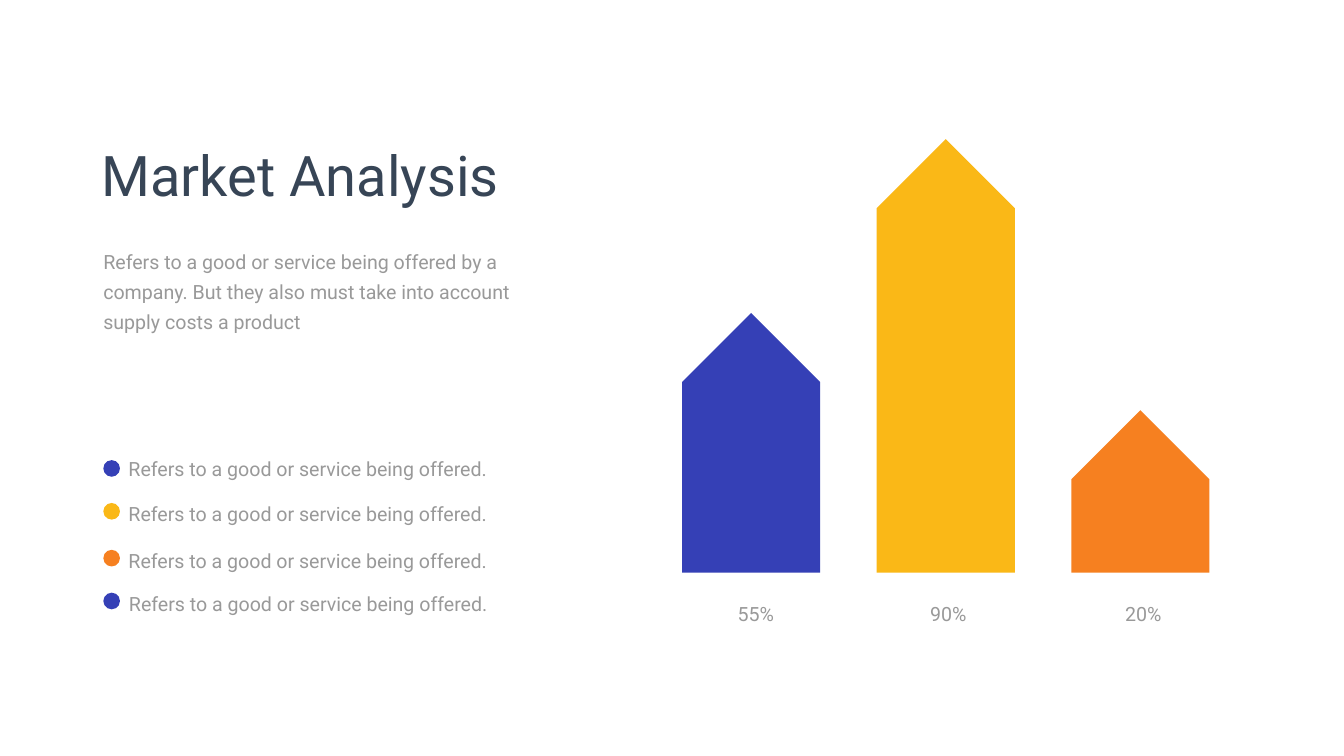
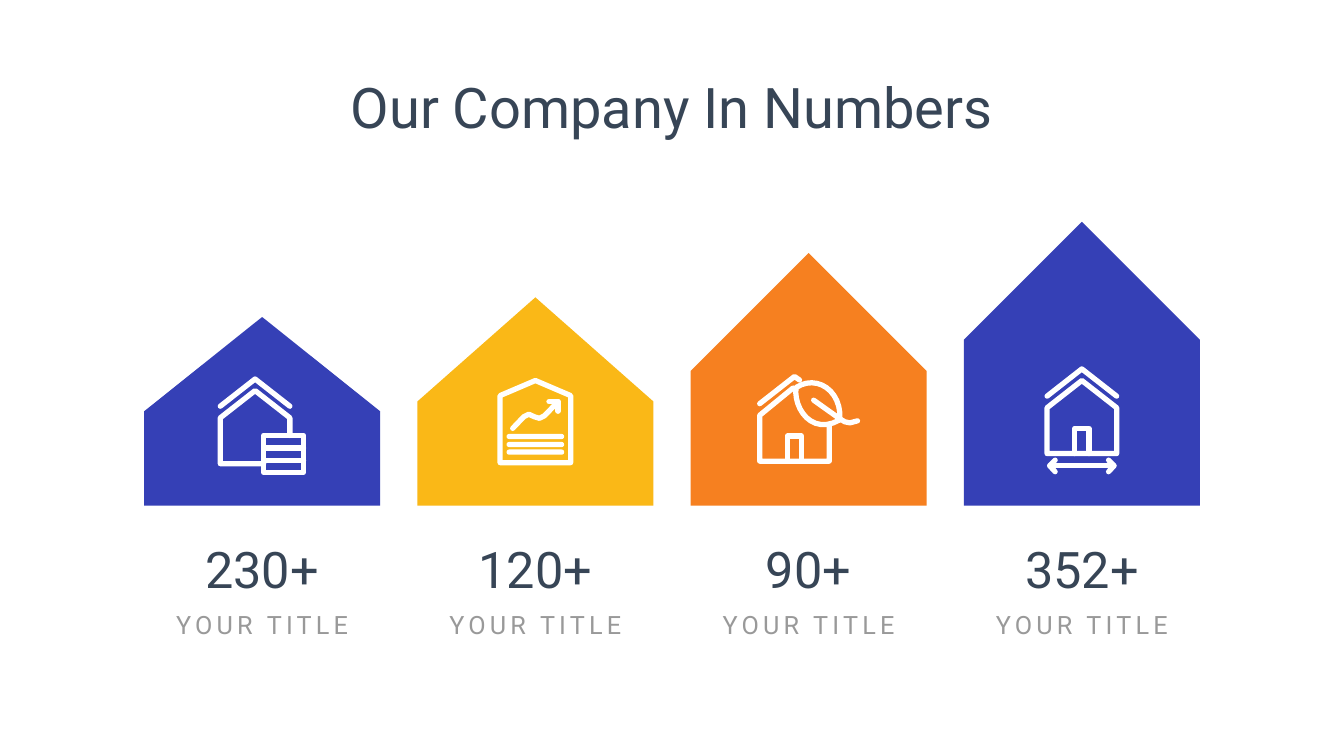
from pptx import Presentation
from pptx import util as u
from pptx.dml.color import RGBColor
from pptx.enum import shapes, text
from pptx.oxml import parse_xml
from pptx.oxml.ns import nsdecls, qn

# Shared style
WIDTH, HEIGHT = 26.66, 15
FONT = "Roboto"
BLUE = RGBColor(0x35, 0x40, 0xB6)
YELLOW = RGBColor(0xFA, 0xB8, 0x17)
ORANGE = RGBColor(0xF6, 0x80, 0x20)
NAVY = RGBColor(0x37, 0x45, 0x56)
GREY = RGBColor(0x99, 0x99, 0x99)
WHITE = RGBColor(0xFF, 0xFF, 0xFF)
TITLE, FIGURE, CAPTION, BODY = 80, 72, 36, 28
TIGHT, ROOMY = (0.1, 0.05), (0.24, 0.12)
STROKE = 7.5

# Market slide: bar height, colour, share, label centre
MARKET_TITLE = "Market Analysis"
MARKET_INTRO = ("Refers to a good or service being offered by a company. "
                "But they also must take into account supply costs a product")
MARKET_BARS = [
    (5.15, BLUE, "55%", 14.99),
    (8.6, YELLOW, "90%", 18.81),
    (3.22, ORANGE, "20%", 22.68),
]
LEGEND_TEXT = "Refers to a good or service being offered."
# Legend rows: dot colour, dot top, text left, text top
LEGEND = [
    (BLUE, 9.13, 2.45, 9.01),
    (YELLOW, 9.98, 2.45, 9.91),
    (ORANGE, 10.91, 2.45, 10.84),
    (BLUE, 11.76, 2.46, 11.69),
]


def curve(start, pull_a, pull_b, end, steps=12):
    """Points along a cubic curve."""
    points = []
    for step in range(steps + 1):
        t = step / steps
        weights = ((1 - t) ** 3, 3 * t * (1 - t) ** 2, 3 * t * t * (1 - t), t ** 3)
        points.append(tuple(sum(w * p[axis] for w, p in zip(weights, (start, pull_a, pull_b, end)))
                            for axis in (0, 1)))
    return points


# Icons are lists of parts, and a part is a list of strokes, in inches from the
# middle of the icon's top; a stroke that returns to its first point is closed
ROOF = [[(-0.69, 0.6), (0, 0.06), (0.69, 0.6)]]
DOOR = [(-0.14, 1.74), (-0.14, 1.24), (0.14, 1.24), (0.14, 1.74)]
LEAF_BASE, LEAF_TIP = (0.03, 0.28), (0.9, 0.92)

STORAGE_HOUSE = [
    [
        [(0.69, 1.18), (0.69, 0.83), (0, 0.29), (-0.69, 0.83), (-0.69, 1.74), (0.17, 1.74)],
        [(0.17, 1.18), (0.96, 1.18), (0.96, 1.91), (0.17, 1.91), (0.17, 1.18)],
        [(0.17, 1.43), (0.96, 1.43)],
        [(0.17, 1.67), (0.96, 1.67)],
    ],
    ROOF,
]
GROWTH_HOUSE = [
    [[(-0.7, 0.35), (0, 0.05), (0.7, 0.35), (0.7, 1.68), (-0.7, 1.68), (-0.7, 0.35)]],
    [
        [(-0.45, 1), (-0.23, 0.77), (-0.13, 0.72), (-0.02, 0.77), (0.08, 0.8), (0.18, 0.75), (0.45, 0.47)],
        [(0.27, 0.47), (0.45, 0.47), (0.45, 0.66)],
    ],
] + [[[(-0.52, y), (0.52, y)]] for y in (1.16, 1.32, 1.47)]
LEAF_HOUSE = [[
    [(-0.69, 0.6), (0, 0.06), (0.1, 0.13)],
    [(-0.03, 0.29), (-0.69, 0.83), (-0.69, 1.74), (0.69, 1.74), (0.69, 1.05)],
    DOOR,
    curve(LEAF_BASE, (-0.02, 0.69), (0.34, 1.24), LEAF_TIP)
    + curve(LEAF_TIP, (0.94, 0.34), (0.44, 0.01), LEAF_BASE)[1:],
    [(0.38, 0.53), (0.9, 0.9), (1, 0.96), (1.1, 0.98), (1.25, 0.94)],
]]
WIDE_HOUSE = [
    [
        [(-0.69, 0.83), (0, 0.29), (0.69, 0.83), (0.69, 1.74), (-0.69, 1.74), (-0.69, 0.83)],
        DOOR,
    ],
    ROOF,
    [[(-0.63, 1.98), (0.63, 1.98)]]
    + [[(side * 0.53, 1.87), (side * 0.64, 1.98), (side * 0.53, 2.1)] for side in (-1, 1)],
]

# Numbers slide: house height, colour, figure, icon, icon shift, icon top
NUMBERS_TITLE = "Our Company In Numbers"
NUMBERS_CAPTION = "YOUR TITLE"
HOUSES = [
    (3.74, BLUE, "230+", STORAGE_HOUSE, -0.14, 7.46),
    (4.13, YELLOW, "120+", GROWTH_HOUSE, 0, 7.5),
    (5.01, ORANGE, "90+", LEAF_HOUSE, -0.28, 7.41),
    (5.63, BLUE, "352+", WIDE_HOUSE, 0, 7.26),
]


def new_slide(deck):
    slide = deck.slides.add_slide(deck.slide_layouts[6])
    slide.background.fill.solid()
    slide.background.fill.fore_color.rgb = WHITE
    return slide


def add_text(slide, words, box, size, color, align=text.PP_ALIGN.LEFT,
             inset=TIGHT, spacing=None, wrap=True, tracking=None):
    frame = slide.shapes.add_textbox(*map(u.Inches, box)).text_frame
    frame.word_wrap = wrap
    frame.auto_size = text.MSO_AUTO_SIZE.SHAPE_TO_FIT_TEXT
    frame.margin_left = frame.margin_right = u.Inches(inset[0])
    frame.margin_top = frame.margin_bottom = u.Inches(inset[1])
    paragraph = frame.paragraphs[0]
    paragraph.alignment = align
    if spacing:
        paragraph.line_spacing = spacing
    run = paragraph.add_run()
    run.text = words
    run.font.name, run.font.size = FONT, u.Pt(size)
    run.font.color.rgb = color
    if tracking:
        run._r.get_or_add_rPr().set("spc", str(tracking * 100))


def add_centred(slide, words, middle, top, width, height, size, color, **options):
    add_text(slide, words, (middle - width / 2, top, width, height), size, color,
             text.PP_ALIGN.CENTER, **options)


def add_solid(slide, kind, box, color):
    solid = slide.shapes.add_shape(kind, *map(u.Inches, box))
    solid.shadow.inherit = False
    solid.fill.solid()
    solid.fill.fore_color.rgb = color
    solid.line.fill.background()
    return solid


def add_house_bar(slide, middle, base, width, height, color):
    """A pentagon arrow turned upwards, standing on the base line."""
    box = (middle - height / 2, base - height / 2 - width / 2, height, width)
    add_solid(slide, shapes.MSO_SHAPE.PENTAGON, box, color).rotation = 270


def add_round_bar(slide, start, end):
    """A level bar with round ends, as thick as the icon strokes."""
    thick = STROKE / 72
    box = (start[0] - thick / 2, start[1] - thick / 2, end[0] - start[0] + thick, thick)
    add_solid(slide, shapes.MSO_SHAPE.ROUNDED_RECTANGLE, box, WHITE).adjustments[0] = 0.5


def add_strokes(slide, strokes):
    """One outline made of several strokes with round ends and corners."""
    builder = None
    for stroke in strokes:
        points = [(u.Inches(x), u.Inches(y)) for x, y in stroke]
        if builder:
            builder.move_to(*points[0])
        else:
            builder = slide.shapes.build_freeform(*points[0])
        builder.add_line_segments(points[1:], close=points[0] == points[-1])
    outline = builder.convert_to_shape()
    outline.shadow.inherit = False
    outline.fill.background()
    outline.line.color.rgb = WHITE
    outline.line.width = u.Pt(STROKE)
    pen = outline._element.spPr.find(qn("a:ln"))
    pen.set("cap", "rnd")
    pen.append(parse_xml(f"<a:round {nsdecls('a')}/>"))


def add_icon(slide, icon, middle, top):
    for part in icon:
        strokes = [[(middle + x, top + y) for x, y in stroke] for stroke in part]
        if len(strokes) == 1 and len(strokes[0]) == 2:
            add_round_bar(slide, *strokes[0])
        else:
            add_strokes(slide, strokes)


def build_market(deck):
    slide = new_slide(deck)
    # Bars with their shares
    first, pitch, base, width = 14.9, 3.86, 11.36, 2.74
    for column, (height, color, share, label_middle) in enumerate(MARKET_BARS):
        add_house_bar(slide, first + column * pitch, base, width, height, color)
        add_centred(slide, share, label_middle, 11.59, 4.33, 0.98, BODY, GREY,
                    inset=ROOMY, spacing=1.5)
    # Legend
    for color, dot_top, left, top in LEGEND:
        add_solid(slide, shapes.MSO_SHAPE.OVAL, (2.05, dot_top, 0.33, 0.33), color)
        add_text(slide, LEGEND_TEXT, (left, top, 8.44, 0.57), BODY, GREY)
    # Title and introduction
    add_text(slide, MARKET_TITLE, (1.91, 2.74, 9.32, 1.45), TITLE, NAVY)
    add_text(slide, MARKET_INTRO, (1.81, 4.7, 8.69, 2), BODY, GREY,
             inset=ROOMY, spacing=u.Pt(43))


def build_numbers(deck):
    slide = new_slide(deck)
    add_centred(slide, NUMBERS_TITLE, WIDTH / 2, 1.39, 17.75, 1.45, TITLE, NAVY)
    # Houses with icon, figure and caption
    first, pitch, base, width = 5.2, 5.42, 10.03, 4.68
    for column, (height, color, figure, icon, shift, icon_top) in enumerate(HOUSES):
        middle = first + column * pitch
        add_house_bar(slide, middle, base, width, height, color)
        add_icon(slide, icon, middle + shift, icon_top)
        figure_width = 0.23 + 0.56 * len(figure)
        add_centred(slide, figure, middle, 10.62, figure_width, 1.31, FIGURE, NAVY, wrap=False)
        add_centred(slide, NUMBERS_CAPTION, middle, 12.04, 3.79, 0.71, CAPTION, GREY,
                    wrap=False, tracking=6)


def main():
    deck = Presentation()
    deck.slide_width, deck.slide_height = u.Inches(WIDTH), u.Inches(HEIGHT)
    build_market(deck)
    build_numbers(deck)
    deck.save("out.pptx")


if __name__ == "__main__":
    main()
